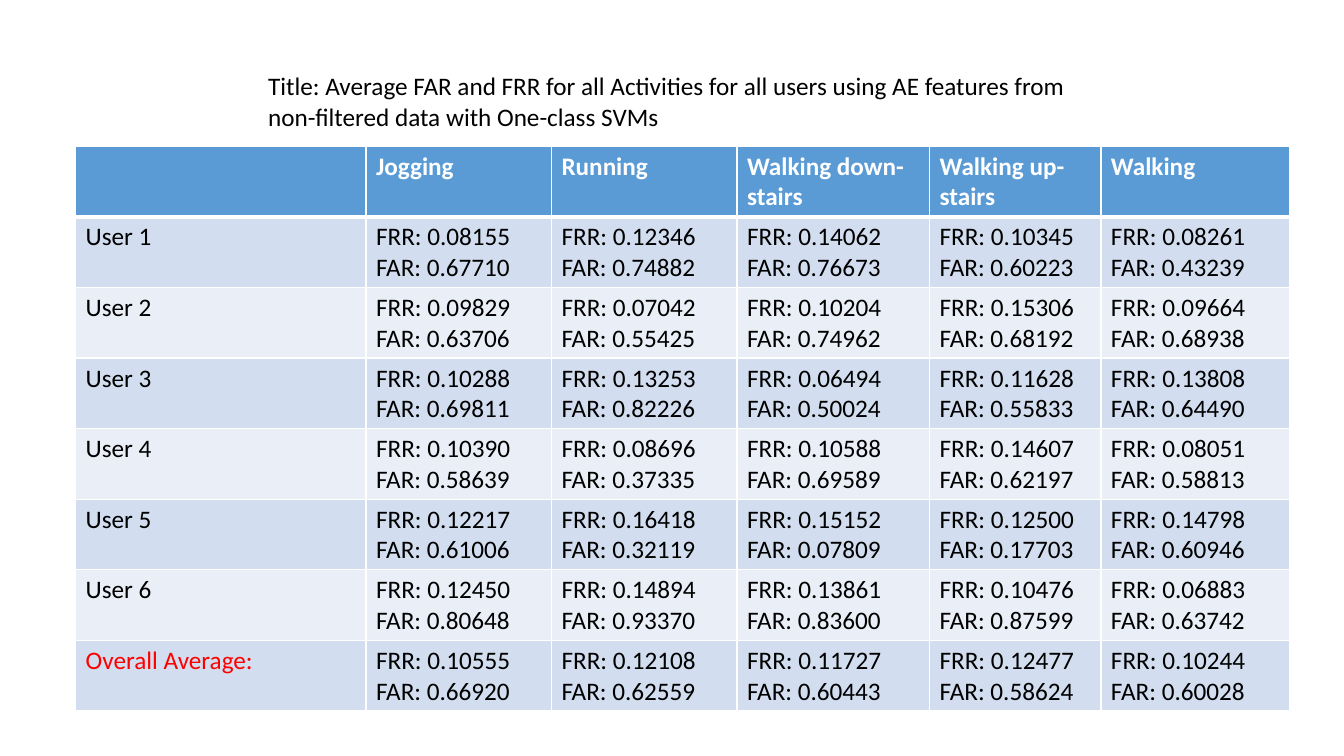
from lxml import etree
from pptx import Presentation
from pptx import util as u
from pptx.dml.color import RGBColor
from pptx.enum import text
from pptx.oxml import ns

COLORS = {
    "header": "5B9BD5", "odd": "D2DEEF", "even": "EAEFF7",
    "white": "FFFFFF", "black": "000000", "red": "FF0000",
}
FONT = "Calibri"
TITLE = ("Title: Average FAR and FRR for all Activities for all users using "
         "AE features from non-filtered data with One-class SVMs")
ACTIVITIES = ["Jogging", "Running", "Walking down-stairs", "Walking up-stairs", "Walking"]
COLUMN_WIDTHS = [2.88, 1.84, 1.84, 1.91, 1.7, 1.87]

# One (FRR, FAR) pair per activity
RATES = {
    "User 1": [("0.08155", "0.67710"), ("0.12346", "0.74882"), ("0.14062", "0.76673"),
               ("0.10345", "0.60223"), ("0.08261", "0.43239")],
    "User 2": [("0.09829", "0.63706"), ("0.07042", "0.55425"), ("0.10204", "0.74962"),
               ("0.15306", "0.68192"), ("0.09664", "0.68938")],
    "User 3": [("0.10288", "0.69811"), ("0.13253", "0.82226"), ("0.06494", "0.50024"),
               ("0.11628", "0.55833"), ("0.13808", "0.64490")],
    "User 4": [("0.10390", "0.58639"), ("0.08696", "0.37335"), ("0.10588", "0.69589"),
               ("0.14607", "0.62197"), ("0.08051", "0.58813")],
    "User 5": [("0.12217", "0.61006"), ("0.16418", "0.32119"), ("0.15152", "0.07809"),
               ("0.12500", "0.17703"), ("0.14798", "0.60946")],
    "User 6": [("0.12450", "0.80648"), ("0.14894", "0.93370"), ("0.13861", "0.83600"),
               ("0.10476", "0.87599"), ("0.06883", "0.63742")],
    "Overall Average:": [("0.10555", "0.66920"), ("0.12108", "0.62559"), ("0.11727", "0.60443"),
                         ("0.12477", "0.58624"), ("0.10244", "0.60028")],
}


def rgb(name):
    return RGBColor.from_string(COLORS[name])


def write(frame, content, color, bold=False):
    frame.text = content
    for paragraph in frame.paragraphs:
        paragraph.font.name = FONT
        paragraph.font.size = u.Pt(18)
        paragraph.font.bold = bold
        paragraph.font.color.rgb = rgb(color)


def set_borders(cell, top, bottom):
    """Draw white borders; top and bottom are widths in points."""
    properties = cell._tc.get_or_add_tcPr()
    widths = {"a:lnL": 1, "a:lnR": 1, "a:lnT": top, "a:lnB": bottom}
    for index, (side, width) in enumerate(widths.items()):
        line = etree.Element(ns.qn(side), w=str(u.Pt(width)))
        fill = etree.SubElement(line, ns.qn("a:solidFill"))
        etree.SubElement(fill, ns.qn("a:srgbClr"), val=COLORS["white"])
        properties.insert(index, line)


def place_title(slide, left, top, width, height):
    title = slide.shapes.title
    title.left, title.top, title.width, title.height = map(u.Inches, (left, top, width, height))
    frame = title.text_frame
    write(frame, TITLE, "black")
    frame.word_wrap = True
    frame.auto_size = text.MSO_AUTO_SIZE.SHAPE_TO_FIT_TEXT
    frame.vertical_anchor = text.MSO_ANCHOR.TOP
    frame.paragraphs[0].alignment = text.PP_ALIGN.LEFT


def place_rates(slide, left, top, width, height):
    rows = [["", *ACTIVITIES]]
    for user, pairs in RATES.items():
        rows.append([user, *(f"FRR: {frr}\nFAR: {far}" for frr, far in pairs)])
    table = slide.shapes.add_table(
        len(rows), len(COLUMN_WIDTHS), *map(u.Inches, (left, top, width, height))).table
    for column, share in zip(table.columns, COLUMN_WIDTHS):
        column.width = u.Inches(width * share / sum(COLUMN_WIDTHS))

    for r, row in enumerate(rows):
        is_header = r == 0
        band = "header" if is_header else "odd" if r % 2 else "even"
        for c, content in enumerate(row):
            cell = table.cell(r, c)
            is_average_label = c == 0 and r == len(rows) - 1
            color = "white" if is_header else "red" if is_average_label else "black"
            write(cell.text_frame, content, color, bold=is_header)
            cell.fill.solid()
            cell.fill.fore_color.rgb = rgb(band)
            set_borders(cell, top=3 if r == 1 else 1, bottom=3 if is_header else 1)


def main():
    deck = Presentation()
    deck.slide_width, deck.slide_height = u.Inches(13.33), u.Inches(7.5)
    slide = deck.slides.add_slide(deck.slide_layouts.get_by_name("Title Only"))
    place_rates(slide, 0.75, 1.45, 12.04, 5.6)
    place_title(slide, 2.56, 0.65, 8.13, 0.71)
    deck.save("out.pptx")


if __name__ == "__main__":
    main()
